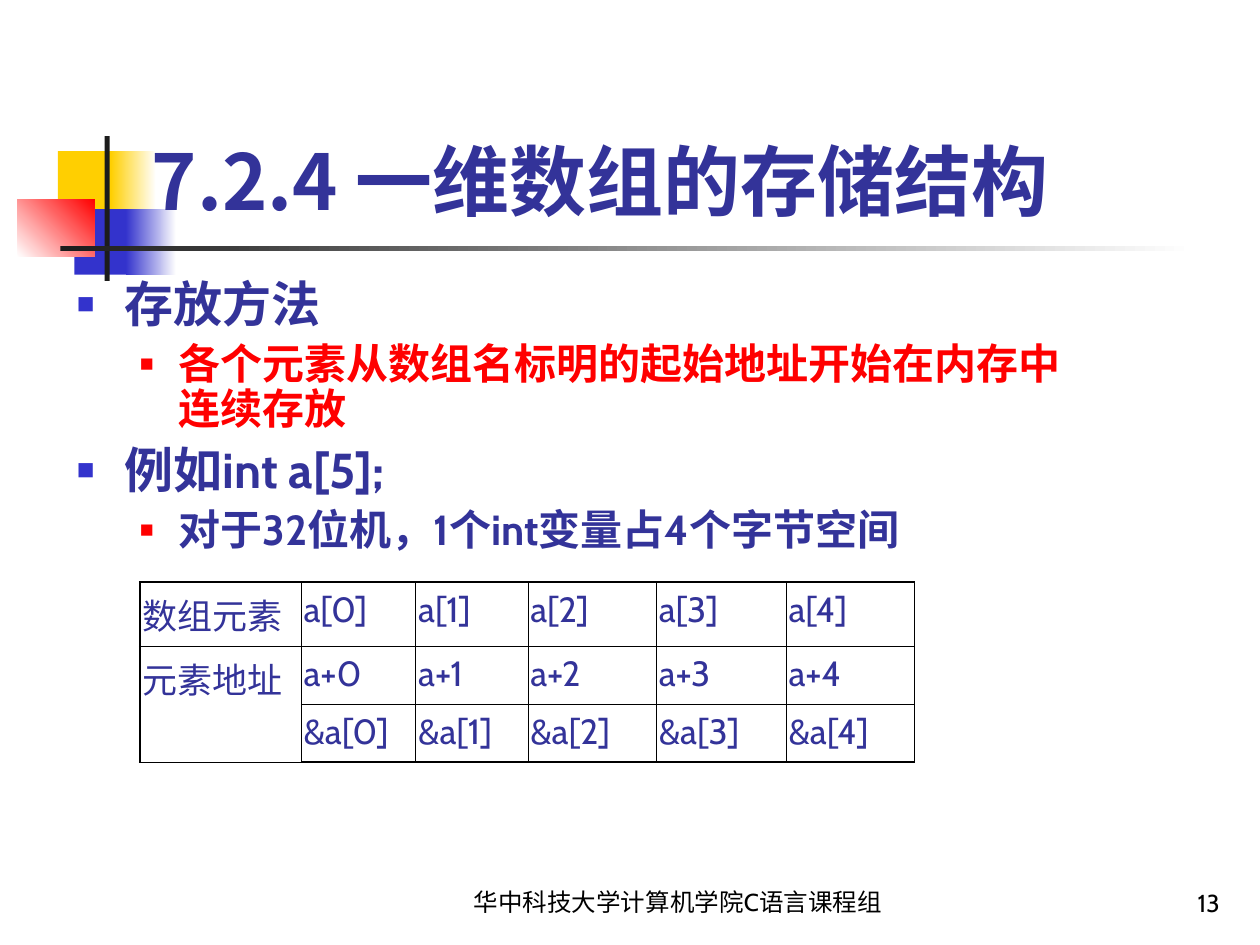
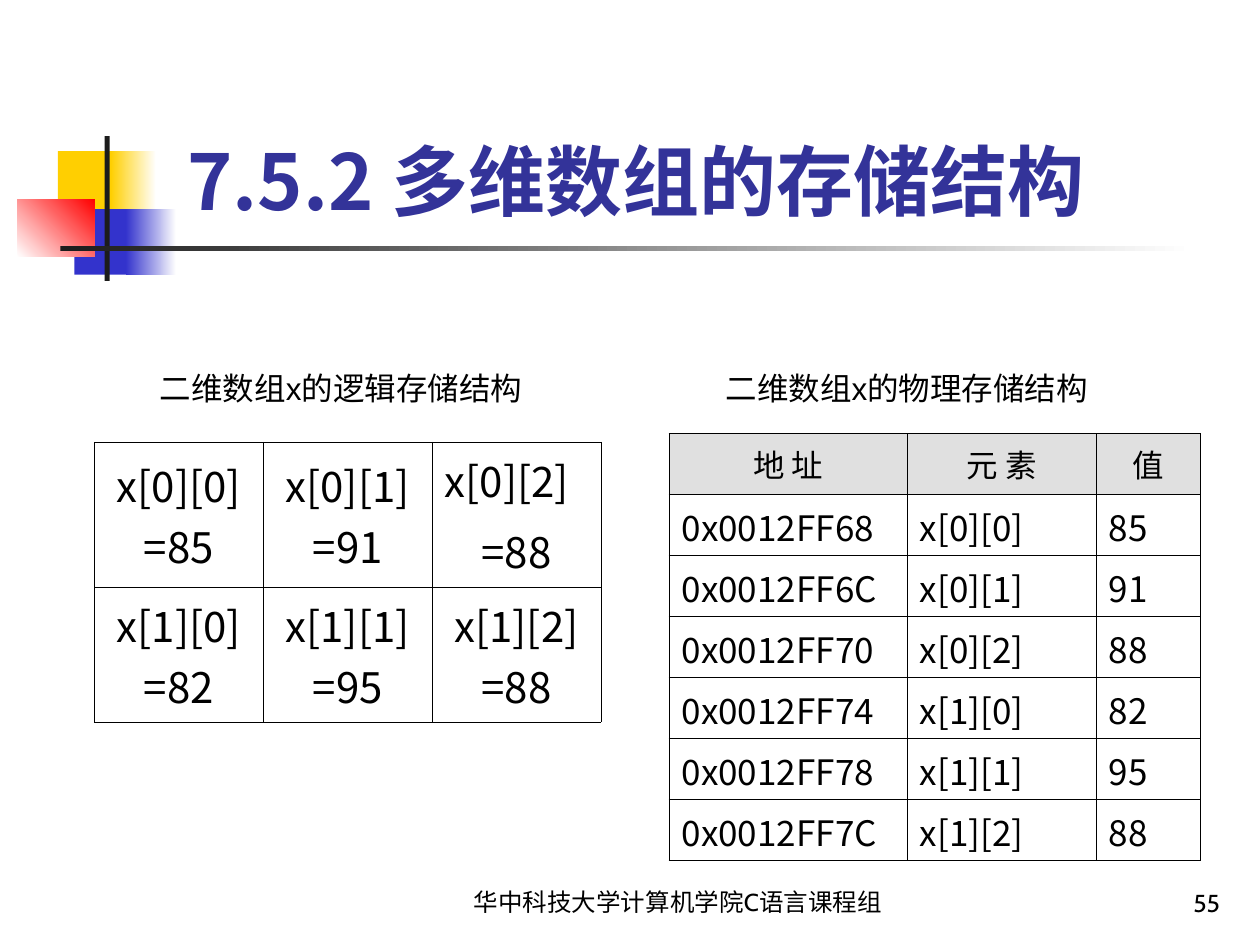
from dataclasses import dataclass

from lxml.etree import SubElement
from pptx import Presentation
from pptx.dml.color import RGBColor
from pptx.enum.shapes import MSO_SHAPE
from pptx.enum.text import MSO_ANCHOR as Anchor, MSO_AUTO_SIZE as AutoSize, PP_ALIGN as Align
from pptx.oxml.ns import qn
from pptx.util import Inches, Pt


@dataclass(frozen=True)
class Theme:
    indigo: str = "333399"
    blue: str = "3333CC"
    red: str = "FF0000"
    yellow: str = "FFCF01"
    charcoal: str = "1C1C1C"
    black: str = "000000"
    white: str = "FFFFFF"
    header_gray: str = "E0E0E0"
    latin_font: str = "Cabin"
    chinese_font: str = "Noto Sans CJK SC"
    caption_font: str = "Arial"
    title_size: int = 44
    list_sizes: tuple = (28, 24)
    matrix_size: int = 24
    cell_size: int = 20
    caption_size: int = 18
    footer_size: int = 14
    thin_line: float = 0.45
    outer_line: float = 1.08


THEME = Theme()
COURSE_GROUP = "华中科技大学计算机学院C语言课程组"
TITLE_ONLY, TITLE_AND_BODY = 5, 1


def rgb(color):
    return RGBColor.from_string(color)


def place(shape, left, top, width, height):
    shape.left, shape.top = Inches(left), Inches(top)
    shape.width, shape.height = Inches(width), Inches(height)


def style_runs(paragraph, size, color=THEME.black, font=THEME.chinese_font, bold=False):
    for run in paragraph.runs:
        run.font.size, run.font.bold, run.font.name = Pt(size), bold, font
        run.font.color.rgb = rgb(color)
        east_asian = SubElement(run.font._element, qn("a:ea"))
        east_asian.set("typeface", THEME.chinese_font)


def add_block(slide, box, color, end_color=None, angle=0):
    """Add a borderless rectangle, fading to end_color when one is given."""
    block = slide.shapes.add_shape(MSO_SHAPE.RECTANGLE, *map(Inches, box))
    block.shadow.inherit = False
    block.line.fill.background()
    if end_color:
        block.fill.gradient()
        block.fill.gradient_angle = angle
        for stop, stop_color in zip(block.fill.gradient_stops, (color, end_color)):
            stop.color.rgb = rgb(stop_color)
    else:
        block.fill.solid()
        block.fill.fore_color.rgb = rgb(color)
    return block


def add_master_ornament(presentation, slide):
    """Build the title ornament on a slide, then move it to the slide master."""
    blocks = [
        add_block(slide, (0.46, 1.2, 0.48, 0.52), THEME.yellow),
        add_block(slide, (0.88, 1.2, 0.36, 0.52), THEME.yellow, THEME.white),
        add_block(slide, (0.59, 1.66, 0.46, 0.52), THEME.blue),
        add_block(slide, (1, 1.66, 0.4, 0.52), THEME.blue, THEME.white),
        add_block(slide, (0.14, 1.58, 0.61, 0.46), THEME.white, THEME.red, 45),
        add_block(slide, (0.83, 1.08, 0.04, 1.15), THEME.charcoal),
        add_block(slide, (0.48, 1.95, 9, 0.04), THEME.charcoal, THEME.white),
    ]
    master_tree = presentation.slide_master.shapes._spTree
    for block in blocks:
        master_tree.append(block._element)


def add_label(slide, box, text, size, font, align=Align.LEFT, anchor=Anchor.TOP, wrap=True):
    label = slide.shapes.add_textbox(*map(Inches, box))
    frame = label.text_frame
    frame.word_wrap, frame.vertical_anchor = wrap, anchor
    frame.text = text
    frame.paragraphs[0].alignment = align
    style_runs(frame.paragraphs[0], size, font=font)


def add_caption(slide, left, text):
    add_label(slide, (left, 2.88, 3.25, 0.4), text, THEME.caption_size,
              THEME.caption_font, wrap=False)


def add_footer(slide, number):
    for box, text, align in (
        ((3.35, 6.82, 4.06, 0.5), COURSE_GROUP, Align.CENTER),
        ((7.7, 6.83, 2.08, 0.5), str(number), Align.RIGHT),
    ):
        add_label(slide, box, text, THEME.footer_size, THEME.latin_font, align, Anchor.BOTTOM)


def add_slide(presentation, layout_index, title, title_width, number):
    slide = presentation.slides.add_slide(presentation.slide_layouts[layout_index])
    place(slide.shapes.title, 0.52, 0.24, title_width, 1.6)
    frame = slide.shapes.title.text_frame
    frame.text = title
    frame.auto_size, frame.vertical_anchor = AutoSize.NONE, Anchor.BOTTOM
    frame.paragraphs[0].alignment = Align.CENTER
    style_runs(frame.paragraphs[0], THEME.title_size, THEME.indigo, bold=True)
    add_footer(slide, number)
    return slide


def set_bullet(paragraph, color, percent, margin, hanging):
    properties = paragraph._p.get_or_add_pPr()
    properties.set("marL", str(Inches(margin)))
    properties.set("indent", str(-Inches(hanging)))
    bullet_color = SubElement(properties, qn("a:buClr"))
    SubElement(bullet_color, qn("a:srgbClr")).set("val", color)
    SubElement(properties, qn("a:buSzPct")).set("val", str(percent * 1000))
    SubElement(properties, qn("a:buFont")).set("typeface", THEME.caption_font)
    SubElement(properties, qn("a:buChar")).set("char", "■")


def fill_list(body, items):
    """Write (level, text, colour) items as a two-level bulleted list."""
    bullets = ((THEME.blue, 60, 0.38, 0.38), (THEME.red, 55, 0.81, 0.31))
    frame = body.text_frame
    frame.auto_size = AutoSize.NONE
    for index, (level, text, color) in enumerate(items):
        paragraph = frame.add_paragraph() if index else frame.paragraphs[0]
        paragraph.text, paragraph.level = text, level
        set_bullet(paragraph, *bullets[level])
        paragraph.line_spacing = 0.9
        paragraph.space_before = Pt(7 - level if index else 0)
        style_runs(paragraph, THEME.list_sizes[level], color, THEME.latin_font, bold=True)


def set_borders(cell, widths):
    """Draw black borders; widths are for left, right, top and bottom, in points."""
    properties = cell._tc.get_or_add_tcPr()
    for index, (side, width) in enumerate(zip("LRTB", widths)):
        line = properties.makeelement(qn(f"a:ln{side}"), {"w": str(Pt(width))})
        fill = SubElement(line, qn("a:solidFill"))
        SubElement(fill, qn("a:srgbClr")).set("val", THEME.black)
        properties.insert(index, line)


def add_grid(slide, left, top, columns, heights, rows, size, color=THEME.black,
             font=THEME.chinese_font, anchor=Anchor.MIDDLE, align=Align.LEFT,
             side_margin=0.1, outer_line=THEME.thin_line):
    """Add a plain ruled table and return it for special cells."""
    frame = slide.shapes.add_table(len(rows), len(columns), Inches(left), Inches(top),
                                   Inches(sum(columns)), Inches(sum(heights)))
    table = frame.table
    table.first_row = table.horz_banding = False
    for column, width in zip(table.columns, columns):
        column.width = Inches(width)
    for row, height in zip(table.rows, heights):
        row.height = Inches(height)
    for row_index, row in enumerate(rows):
        for column_index, text in enumerate(row):
            cell = table.cell(row_index, column_index)
            cell.text, cell.vertical_anchor = text, anchor
            cell.margin_left = cell.margin_right = Inches(side_margin)
            cell.fill.background()
            on_edge = (column_index == 0, column_index == len(columns) - 1,
                       row_index == 0, row_index == len(rows) - 1)
            set_borders(cell, [outer_line if edge else THEME.thin_line for edge in on_edge])
            for paragraph in cell.text_frame.paragraphs:
                paragraph.alignment = align
                style_runs(paragraph, size, color, font)
    return table


def add_address_table(slide):
    indexes = range(5)
    rows = [
        ["数组元素"] + [f"a[{index}]" for index in indexes],
        ["元素地址"] + [f"a+{index}" for index in indexes],
        [""] + [f"&a[{index}]" for index in indexes],
    ]
    table = add_grid(slide, 1.11, 4.62, (1.28, 0.91, 0.89, 1.02, 1.03, 1.02),
                     (0.51, 0.46, 0.46), rows, THEME.cell_size, THEME.indigo,
                     THEME.latin_font, Anchor.TOP, side_margin=0.02,
                     outer_line=THEME.outer_line)
    table.cell(1, 0).merge(table.cell(2, 0))


def add_logical_table(slide, matrix):
    rows = [[f"x[{i}][{j}]\n={value}" for j, value in enumerate(values)]
            for i, values in enumerate(matrix)]
    table = add_grid(slide, 0.75, 3.51, (1.34,) * 3, (1.15, 1.07), rows,
                     THEME.matrix_size, align=Align.CENTER)
    element, value = table.cell(0, 2).text_frame.paragraphs
    element.alignment = Align.LEFT
    value.space_before = Pt(6)


def add_physical_table(slide, matrix, first_address=0x0012FF68, integer_bytes=4):
    elements = [(f"x[{i}][{j}]", str(value)) for i, values in enumerate(matrix)
                for j, value in enumerate(values)]
    rows = [("地 址", "元 素", "值")]
    for offset, element in enumerate(elements):
        rows.append((f"0x{first_address + offset * integer_bytes:08X}", *element))
    row_height = 3.39 / len(rows)
    table = add_grid(slide, 5.31, 3.44, (1.89, 1.5, 0.83), (row_height,) * len(rows), rows,
                     THEME.cell_size)
    for cell in table.rows[0].cells:
        cell.fill.solid()
        cell.fill.fore_color.rgb = rgb(THEME.header_gray)
        paragraph = cell.text_frame.paragraphs[0]
        paragraph.alignment = Align.CENTER
        paragraph.runs[0].font.size = Pt(THEME.caption_size)


def add_one_dimension_slide(presentation):
    slide = add_slide(presentation, TITLE_AND_BODY, "7.2.4 一维数组的存储结构", 8.49, 13)
    add_master_ornament(presentation, slide)
    body = slide.placeholders[1]
    place(body, 0.51, 2.17, 8.26, 2.28)
    fill_list(body, (
        (0, "存放方法", THEME.indigo),
        (1, "各个元素从数组名标明的起始地址开始在内存中连续存放", THEME.red),
        (0, "例如int a[5];", THEME.indigo),
        (1, "对于32位机，1个int变量占4个字节空间", THEME.indigo),
    ))
    add_address_table(slide)


def add_multi_dimension_slide(presentation):
    matrix = ((85, 91, 88), (82, 95, 88))
    slide = add_slide(presentation, TITLE_ONLY, "7.5.2 多维数组的存储结构", 9.06, 55)
    add_logical_table(slide, matrix)
    add_caption(slide, 1.17, "二维数组x的逻辑存储结构")
    add_caption(slide, 5.66, "二维数组x的物理存储结构")
    add_physical_table(slide, matrix)


def main():
    presentation = Presentation()
    presentation.slide_width, presentation.slide_height = Inches(10), Inches(7.5)
    add_one_dimension_slide(presentation)
    add_multi_dimension_slide(presentation)
    presentation.save("out.pptx")


if __name__ == "__main__":
    main()
